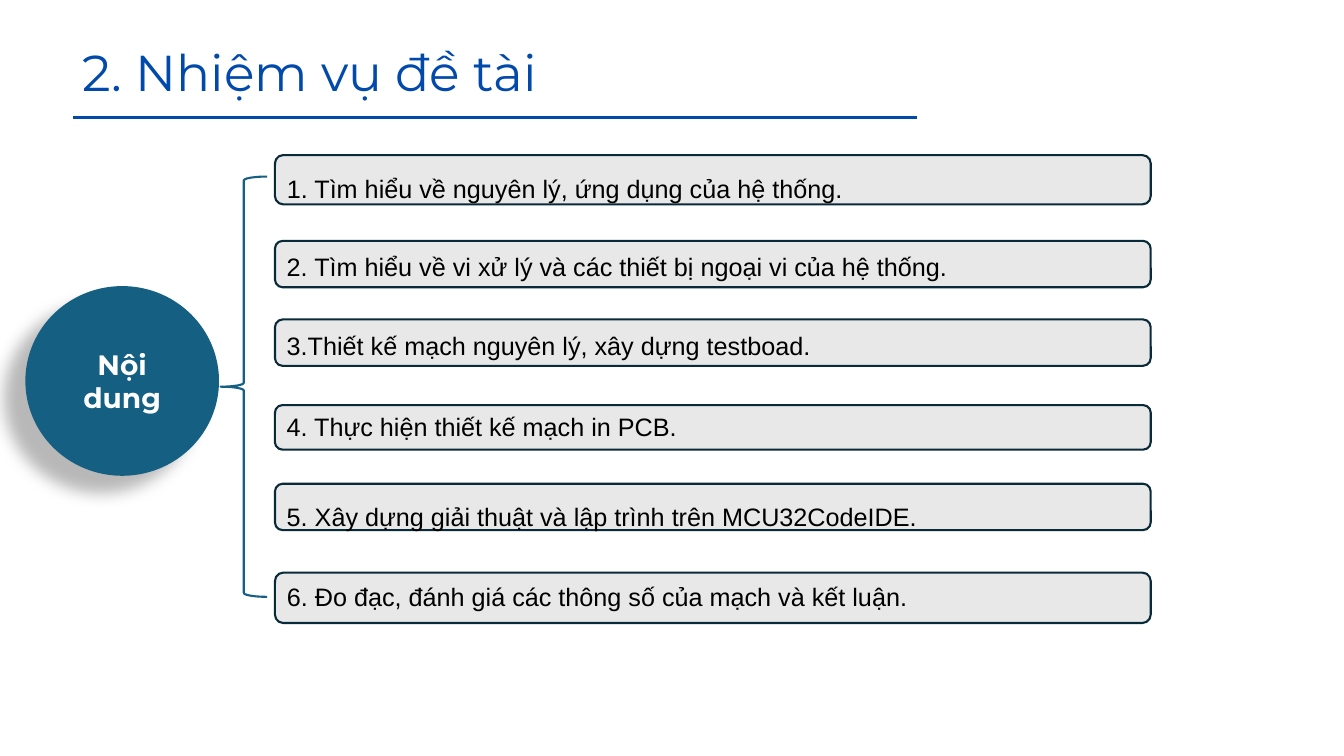
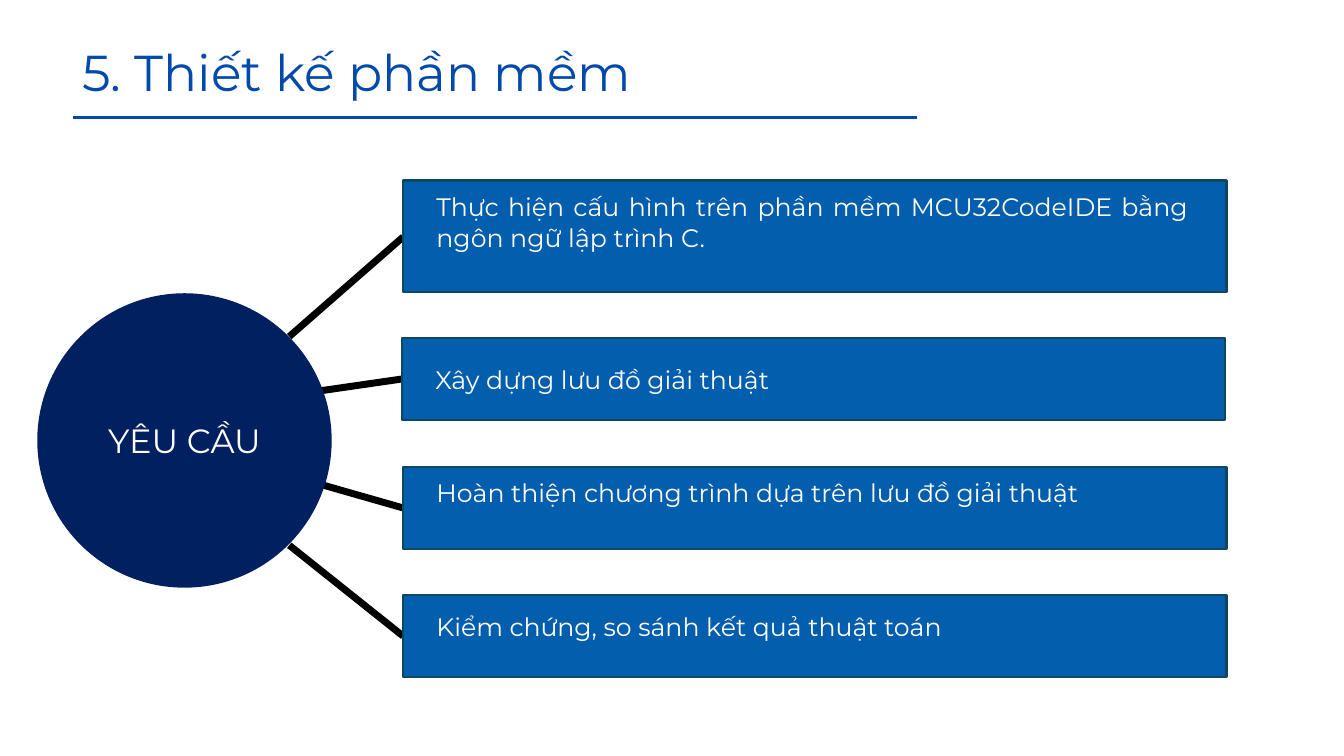
from lxml.etree import SubElement
from pptx import Presentation
from pptx.dml.color import RGBColor
from pptx.enum.shapes import MSO_CONNECTOR, MSO_SHAPE
from pptx.enum.text import MSO_ANCHOR, PP_ALIGN
from pptx.oxml.ns import qn
from pptx.util import Cm, Pt

# Shared look
BLUE, TEAL, NAVY = "0149AA", "156082", "002060"
WHITE, BLACK = "FFFFFF", "000000"
HEAD = "Montserrat"
hue = RGBColor.from_string


def draw(slide, kind, spot, fill=None, edge=None, text="", size=18, font=HEAD,
         ink=WHITE, bold=None, align=PP_ALIGN.LEFT, pad=None, lead=None):
    """Add a shape, or a text box when kind is None; pad is left, top, right."""
    spot = [Cm(n) for n in spot]
    if kind is None:
        item = slide.shapes.add_textbox(*spot)
    else:
        item = slide.shapes.add_shape(kind, *spot)
        item.shadow.inherit = False
        if fill:
            item.fill.solid()
            item.fill.fore_color.rgb = hue(fill)
        else:
            item.fill.background()
        if edge:
            item.line.color.rgb = hue(edge)
            item.line.width = Pt(1.5)
        else:
            item.line.fill.background()
    if text:
        frame = item.text_frame
        frame.word_wrap = True
        frame.vertical_anchor = MSO_ANCHOR.MIDDLE
        if pad:
            frame.vertical_anchor = MSO_ANCHOR.TOP
            frame.margin_left, frame.margin_top, frame.margin_right = [Cm(n) for n in pad]
            frame.margin_bottom = 0
        para = frame.paragraphs[0]
        para.alignment = align
        if lead:
            para.line_spacing = lead
        run = para.add_run()
        run.text = text
        run.font.name = font
        run.font.size = Pt(size)
        run.font.bold = bold
        run.font.color.rgb = hue(ink)
    return item


def rule(slide, ends, color, width):
    """Add a straight line between two points."""
    line = slide.shapes.add_connector(MSO_CONNECTOR.STRAIGHT, *[Cm(n) for n in ends])
    line.line.color.rgb = hue(color)
    line.line.width = Pt(width)
    SubElement(line._element.spPr, qn("a:effectLst"))


deck = Presentation()
deck.slide_width, deck.slide_height = Cm(33.87), Cm(19.05)

# Title and rule on each slide
pages = []
for title in ("2. Nhiệm vụ đề tài", "5. Thiết kế phần mềm"):
    page = deck.slides.add_slide(deck.slide_layouts[6])
    rule(page, (1.83, 2.97, 23.11, 2.97), BLUE, 2.25)
    draw(page, None, (1.83, 0.89, 23.9, 1.8), text=title, size=36, ink=BLUE)
    pages.append(page)
tasks, needs = pages

# Tasks: top, height, text inset, line spacing, text
rows = [
    (3.91, 1.24, 0.02, 1.5, "1. Tìm hiểu về nguyên lý, ứng dụng của hệ thống."),
    (6.07, 1.17, 0.2, 1, "2. Tìm hiểu về vi xử lý và các thiết bị ngoại vi của hệ thống."),
    (8.05, 1.17, 0.22, 1, "3.Thiết kế mạch nguyên lý, xây dựng testboad."),
    (10.21, 1.12, 0.1, 1, "4. Thực hiện thiết kế mạch in PCB."),
    (12.19, 1.17, 0, 1.5, "5. Xây dựng giải thuật và lập trình trên MCU32CodeIDE."),
    (14.43, 1.27, 0.17, 1, "6. Đo đạc, đánh giá các thông số của mạch và kết luận."),
]
for top, high, inset, lead, text in rows:
    draw(tasks, MSO_SHAPE.ROUNDED_RECTANGLE, (6.93, top, 22.07, high), "E8E8E8", "092A39",
         text, font="Arial", ink=BLACK, pad=(0.24, inset, 0.24), lead=lead)

# Hub with its soft shadow, and the brace
hub = draw(tasks, MSO_SHAPE.OVAL, (0.64, 7.21, 4.88, 4.78), TEAL, text="Nội dung",
           size=20, bold=True, align=PP_ALIGN.CENTER)
glow = SubElement(hub._element.spPr.find(qn("a:effectLst")), qn("a:outerShdw"),
                  blurRad=str(Pt(11.8)), dist=str(Pt(19.7)), dir=str(141 * 60000),
                  algn="ctr", rotWithShape="0")
tint = SubElement(glow, qn("a:srgbClr"), val=BLACK)
SubElement(tint, qn("a:alpha"), val="28000")
draw(tasks, MSO_SHAPE.LEFT_BRACE, (5.56, 4.45, 1.17, 10.59), edge=TEAL)

# Needs: spokes, hub and boxes
for ends in ((7.29, 8.48, 10.16, 5.97), (7.85, 9.88, 10.13, 9.55),
             (8.13, 12.22, 10.16, 12.8), (7.29, 13.74, 10.16, 16.03)):
    rule(needs, ends, BLACK, 5)
draw(needs, MSO_SHAPE.OVAL, (0.94, 7.39, 7.42, 7.42), NAVY, text="YÊU CẦU", size=24,
     align=PP_ALIGN.CENTER)

# Left, top, height, text inset, text
cards = [
    (10.16, 4.55, 2.82, 0.28,
     "Thực hiện cấu hình trên phần mềm MCU32CodeIDE bằng ngôn ngữ lập trình C."),
    (10.13, 8.51, 2.08, 0.66, "Xây dựng lưu đồ giải thuật"),
    (10.16, 11.76, 2.08, 0.28, "Hoàn thiện chương trình dựa trên lưu đồ giải thuật"),
    (10.16, 14.99, 2.08, 0.41, "Kiểm chứng, so sánh kết quả thuật toán"),
]
for left, top, high, inset, text in cards:
    draw(needs, MSO_SHAPE.RECTANGLE, (left, top, 20.75, high), "035EAE", "104760", text,
         align=PP_ALIGN.JUSTIFY, pad=(0.84, inset, 0.97))

deck.save("out.pptx")
